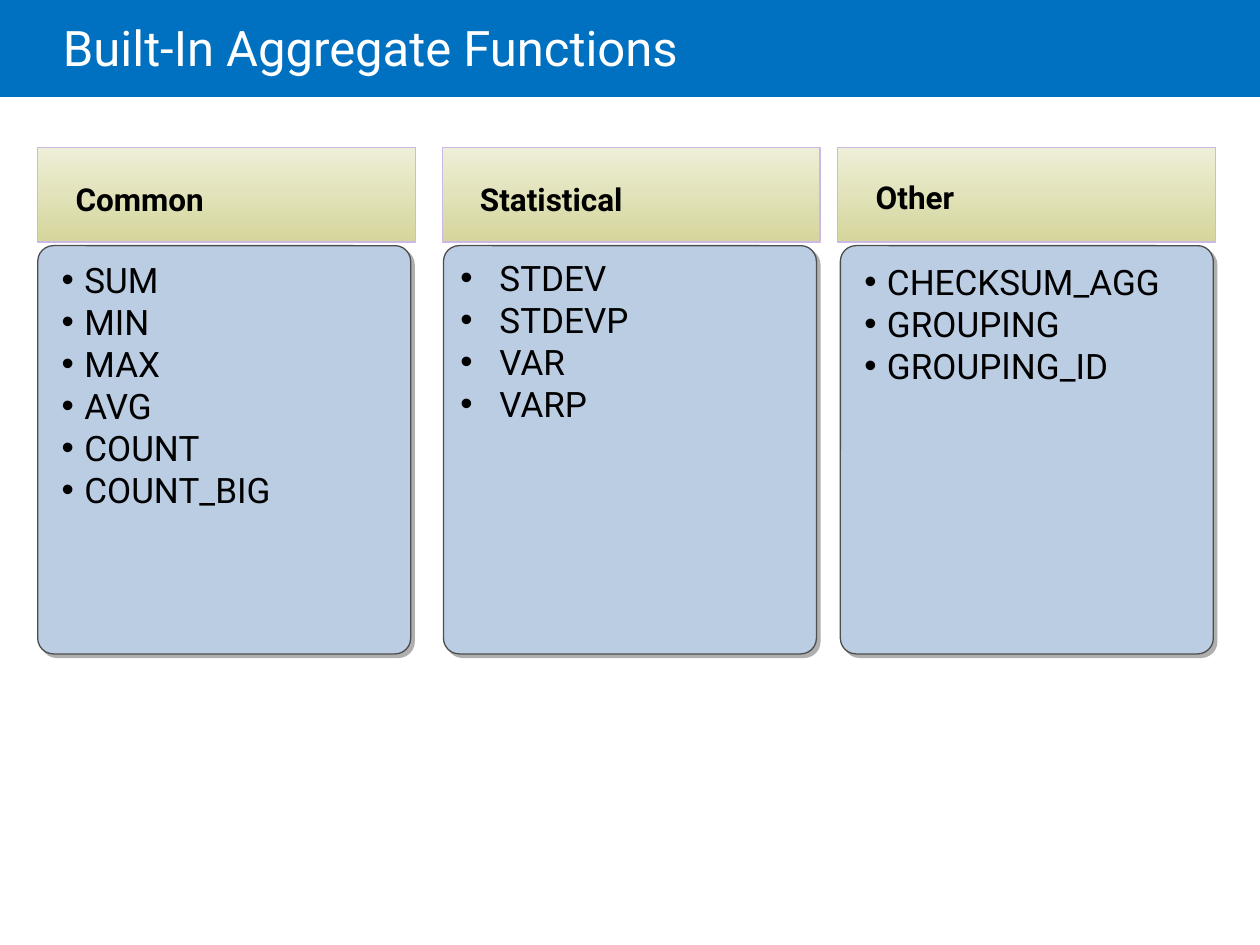
from dataclasses import dataclass

from lxml import etree
from pptx import Presentation
from pptx import util as u
from pptx.dml.color import RGBColor
from pptx.enum import shapes, text
from pptx.oxml import ns


@dataclass(frozen=True)
class Theme:
    font: str = "Roboto"
    banner: str = "0070C0"
    title: str = "FFFFFF"
    ink: str = "000000"
    panel: str = "BBCDE3"
    panel_line: str = "4D4D4D"
    shadow: str = "AFAFAF"
    heading_top: str = "EEEFD7"
    heading_bottom: str = "D5D69C"
    heading_line: str = "CCB8E4"
    title_size: int = 28
    heading_size: int = 18
    list_size: int = 20


THEME = Theme()


@dataclass(frozen=True)
class Category:
    heading: str
    functions: tuple
    heading_left: float
    panel_left: float
    heading_spacing: float = 1.0
    list_box: tuple = ()  # empty: the list sits in the panel itself
    indent: float = 0.18


CATEGORIES = (
    Category("Common", ("SUM", "MIN", "MAX", "AVG", "COUNT", "COUNT_BIG"),
             0.3, 0.3, list_box=(0.49, 2.05, 2.64, 2.98)),
    Category("Statistical", ("STDEV", "STDEVP", "VAR", "VARP"),
             3.51, 3.52, indent=0.31),
    Category("Other", ("CHECKSUM_AGG", "GROUPING", "GROUPING_ID"),
             6.65, 6.67, heading_spacing=0.9, list_box=(6.86, 2.07, 2.87, 2.96)),
)


def rgb(value):
    return RGBColor.from_string(value)


def inches(*values):
    return [u.Inches(value) for value in values]


def add_block(slide, preset, box, line=None):
    block = slide.shapes.add_shape(preset, *inches(*box))
    block.shadow.inherit = False
    if line:
        block.line.color.rgb = rgb(line)
        block.line.width = u.Pt(0.75)
    else:
        block.line.fill.background()
    return block


def set_frame(frame, margins, anchor=text.MSO_ANCHOR.TOP):
    frame.word_wrap = True
    frame.vertical_anchor = anchor
    (frame.margin_left, frame.margin_top,
     frame.margin_right, frame.margin_bottom) = inches(*margins)


def style_paragraph(paragraph, size, color, bold=False, spacing=1.0):
    paragraph.alignment = text.PP_ALIGN.LEFT
    paragraph.line_spacing = spacing
    for run in paragraph.runs:
        run.font.name = THEME.font
        run.font.size = u.Pt(size)
        run.font.bold = bold
        run.font.color.rgb = rgb(color)


def add_bullet(paragraph, indent):
    properties = paragraph._p.get_or_add_pPr()
    properties.set("marL", str(u.Inches(indent)))
    properties.set("indent", str(-u.Inches(indent)))
    etree.SubElement(properties, ns.qn("a:buFont"), typeface="Arial")
    etree.SubElement(properties, ns.qn("a:buChar"), char="•")


def add_drop_shadow(block):
    effects = block._element.spPr.find(ns.qn("a:effectLst"))
    shadow = etree.SubElement(effects, ns.qn("a:outerShdw"), dist=str(u.Pt(2.8)),
                              dir=str(45 * 60000), algn="ctr", rotWithShape="0")
    etree.SubElement(shadow, ns.qn("a:srgbClr"), val=THEME.shadow)


def add_title(slide, wording):
    banner = add_block(slide, shapes.MSO_SHAPE.RECTANGLE, (0, 0, 10, 0.77))
    banner.fill.solid()
    banner.fill.fore_color.rgb = rgb(THEME.banner)
    title = slide.shapes.add_textbox(*inches(0.5, 0, 8.5, 0.81)).text_frame
    set_frame(title, (0, 0.05, 0.1, 0.05), text.MSO_ANCHOR.MIDDLE)
    title.text = wording
    style_paragraph(title.paragraphs[0], THEME.title_size, THEME.title, spacing=0.85)


def add_panel(slide, left):
    panel = add_block(slide, shapes.MSO_SHAPE.ROUNDED_RECTANGLE,
                      (left, 1.95, 2.96, 3.24), THEME.panel_line)
    panel.adjustments[0] = 0.042
    panel.fill.solid()
    panel.fill.fore_color.rgb = rgb(THEME.panel)
    add_drop_shadow(panel)
    return panel


def add_function_list(slide, category, panel):
    if category.list_box:
        frame = slide.shapes.add_textbox(*inches(*category.list_box)).text_frame
        set_frame(frame, (0, 0, 0, 0))
    else:
        frame = panel.text_frame
        set_frame(frame, (0.1, 0.05, 0.1, 0.05))
    frame.text = "\n".join(category.functions)
    for paragraph in frame.paragraphs:
        style_paragraph(paragraph, THEME.list_size, THEME.ink)
        add_bullet(paragraph, category.indent)


def add_heading(slide, category):
    heading = add_block(slide, shapes.MSO_SHAPE.RECTANGLE,
                        (category.heading_left, 1.17, 3, 0.75), THEME.heading_line)
    heading.fill.gradient()
    heading.fill.gradient_angle = 270
    colors = (THEME.heading_top, THEME.heading_bottom)
    for position, (stop, color) in enumerate(zip(heading.fill.gradient_stops, colors)):
        stop.position = position
        stop.color.rgb = rgb(color)
    frame = heading.text_frame
    set_frame(frame, (0.3, 0.12, 0.1, 0.05), text.MSO_ANCHOR.MIDDLE)
    frame.text = category.heading
    style_paragraph(frame.paragraphs[0], THEME.heading_size, THEME.ink,
                    bold=True, spacing=category.heading_spacing)


def main():
    deck = Presentation()
    deck.slide_width, deck.slide_height = inches(10, 7.5)
    slide = deck.slides.add_slide(deck.slide_layouts[6])

    # Title banner
    add_title(slide, "Built-In Aggregate Functions")

    # One column per category of functions
    for category in CATEGORIES:
        panel = add_panel(slide, category.panel_left)
        add_function_list(slide, category, panel)
        add_heading(slide, category)

    deck.save("out.pptx")


if __name__ == "__main__":
    main()
